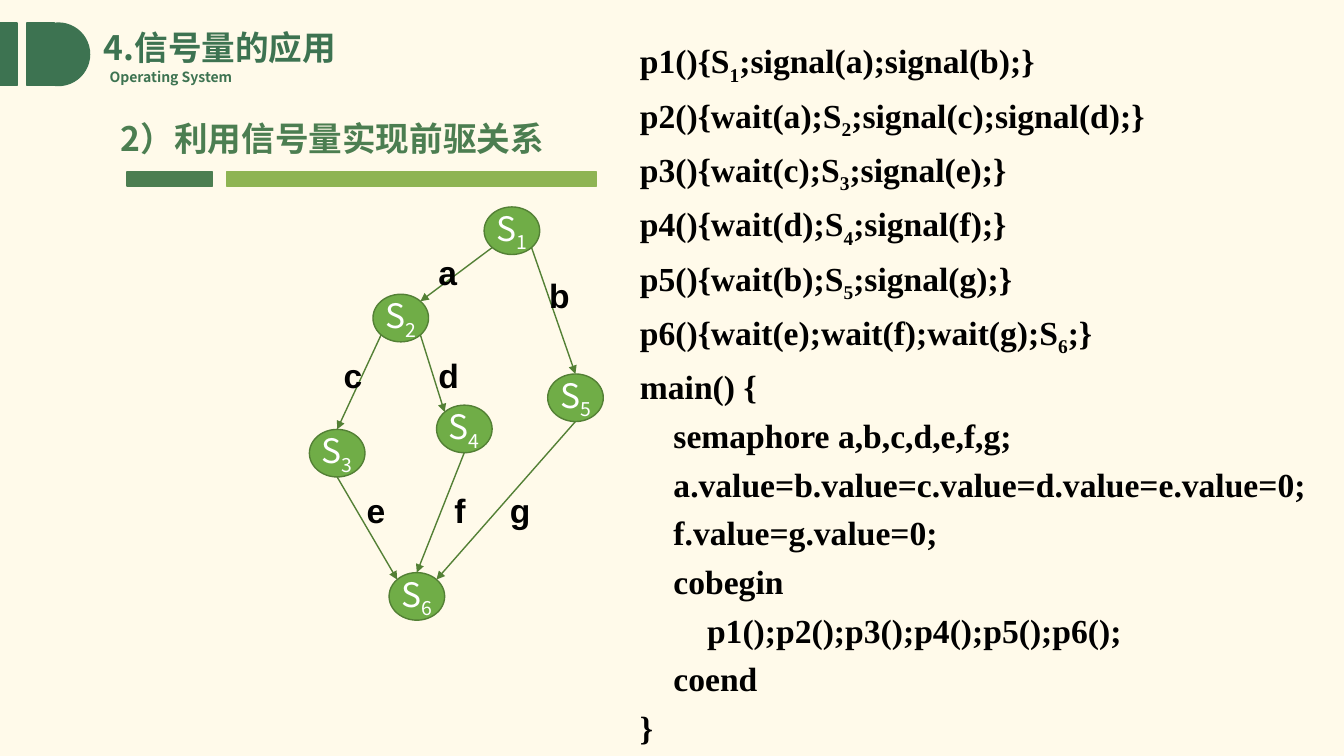
from math import cos, radians, sin

from lxml import etree
from pptx import Presentation
from pptx.dml.color import RGBColor
from pptx.enum import shapes, text
from pptx.oxml import ns
from pptx.util import Pt

CREAM = RGBColor(0xFF, 0xFA, 0xEA)
DARK_GREEN = RGBColor(0x3D, 0x73, 0x51)
HEADING_GREEN = RGBColor(0x4C, 0x7E, 0x51)
LIME = RGBColor(0x8E, 0xB4, 0x53)
NODE_GREEN = RGBColor(0x70, 0xAD, 0x47)
EDGE_GREEN = RGBColor(0x53, 0x80, 0x35)
WHITE = RGBColor(0xFF, 0xFF, 0xFF)
BLACK = RGBColor(0, 0, 0)
SANS = "Noto Sans CJK SC"

RECTANGLE = shapes.MSO_SHAPE.RECTANGLE
OVAL = shapes.MSO_SHAPE.OVAL

DECORATIONS = [
    (RECTANGLE, 0, 16.5, 12.2, 44.6, DARK_GREEN),
    (RECTANGLE, 19.4, 16.5, 19.4, 44.6, DARK_GREEN),
    (OVAL, 19.4, 16.5, 44.6, 44.6, DARK_GREEN),
    (RECTANGLE, 90.7, 123, 61.2, 10, HEADING_GREEN),
    (RECTANGLE, 162, 123, 264.2, 10, LIME),
]
HEADINGS = [
    ("Operating System", 71.3, 45.4, 105.8, 19.4, 10, DARK_GREEN),
    ("4.信号量的应用", 67, 15.8, 312.5, 36, 24, DARK_GREEN),
    ("2）利用信号量实现前驱关系", 79.2, 80.6, 418.3, 36, 24, HEADING_GREEN),
]

NODE_WIDTH, NODE_HEIGHT = 39.7, 34
NODES = {
    "1": (345.8, 147.8),
    "2": (266.4, 210.2),
    "3": (221, 306.7),
    "4": (311.8, 289.4),
    "5": (391.2, 267.1),
    "6": (277.9, 409),
}
TOP, TOP_LEFT, TOP_RIGHT = 270, 225, 315
BOTTOM, BOTTOM_LEFT, BOTTOM_RIGHT = 90, 135, 45
EDGES = [
    ("a", 306, 176.4, "1", BOTTOM_LEFT, "2", TOP_RIGHT),
    ("b", 385.2, 193, "1", BOTTOM_RIGHT, "5", TOP),
    ("c", 238.3, 249.8, "2", BOTTOM_LEFT, "3", TOP),
    ("d", 306, 249.8, "2", BOTTOM_RIGHT, "4", TOP_LEFT),
    ("e", 254.9, 346.3, "3", BOTTOM, "6", TOP_LEFT),
    ("f", 317.5, 346.3, "4", BOTTOM, "6", TOP),
    ("g", 357.1, 346.3, "5", BOTTOM, "6", TOP_RIGHT),
]

CODE = [
    ("p1(){S", "1", ";signal(a);signal(b);}"),
    ("p2(){wait(a);S", "2", ";signal(c);signal(d);}"),
    ("p3(){wait(c);S", "3", ";signal(e);}"),
    ("p4(){wait(d);S", "4", ";signal(f);}"),
    ("p5(){wait(b);S", "5", ";signal(g);}"),
    ("p6(){wait(e);wait(f);wait(g);S", "6", ";}"),
    ("main() {",),
    ("    semaphore a,b,c,d,e,f,g;",),
    ("    a.value=b.value=c.value=d.value=e.value=0;",),
    ("    f.value=g.value=0;",),
    ("    cobegin",),
    ("        p1();p2();p3();p4();p5();p6();",),
    ("    coend",),
    ("}",),
]


def write_line(paragraph, parts, size, font_name, color, bold=True):
    for index, part in enumerate(parts):
        run = paragraph.add_run()
        run.text = part
        if index == 1:
            run.font._element.set("baseline", "-25000")
    font = paragraph.font
    font.size, font.name, font.bold = Pt(size), font_name, bold
    font.color.rgb = color
    properties = font._element
    latin = properties.find(ns.qn("a:latin"))
    east_asian = etree.Element(ns.qn("a:ea"), typeface=font_name)
    latin.addnext(east_asian)


def add_text(slide, left, top, width, height, wrap=True):
    box = slide.shapes.add_textbox(Pt(left), Pt(top), Pt(width), Pt(height))
    box.text_frame.word_wrap = wrap
    return box.text_frame


def add_filled(slide, kind, left, top, width, height, fill, line):
    shape = slide.shapes.add_shape(kind, Pt(left), Pt(top), Pt(width), Pt(height))
    shape.shadow.inherit = False
    shape.fill.solid()
    shape.fill.fore_color.rgb = fill
    shape.line.color.rgb = line
    shape.line.width = Pt(1)
    return shape


def rim_point(node, angle):
    left, top = NODES[node]
    x = left + NODE_WIDTH / 2 * (1 + cos(radians(angle)))
    y = top + NODE_HEIGHT / 2 * (1 + sin(radians(angle)))
    return Pt(x), Pt(y)


def add_arrow(slide, start, end):
    arrow = slide.shapes.add_connector(shapes.MSO_CONNECTOR.STRAIGHT, *start, *end)
    arrow.line.color.rgb = EDGE_GREEN
    arrow.line.width = Pt(1)
    etree.SubElement(arrow.line._get_or_add_ln(), ns.qn("a:tailEnd"), type="triangle")
    etree.SubElement(arrow._element.spPr, ns.qn("a:effectLst"))


def main():
    presentation = Presentation()
    presentation.slide_width, presentation.slide_height = Pt(960), Pt(540)
    slide = presentation.slides.add_slide(presentation.slide_layouts[6])
    slide.background.fill.solid()
    slide.background.fill.fore_color.rgb = CREAM

    for kind, left, top, width, height, color in DECORATIONS:
        add_filled(slide, kind, left, top, width, height, color, color)

    for words, left, top, width, height, size, color in HEADINGS:
        frame = add_text(slide, left, top, width, height)
        frame.vertical_anchor = text.MSO_ANCHOR.MIDDLE
        write_line(frame.paragraphs[0], [words], size, SANS, color)

    for number, (left, top) in NODES.items():
        node = add_filled(slide, OVAL, left, top, NODE_WIDTH, NODE_HEIGHT,
                          NODE_GREEN, EDGE_GREEN)
        frame = node.text_frame
        frame.word_wrap = False
        frame.vertical_anchor = text.MSO_ANCHOR.MIDDLE
        frame.paragraphs[0].alignment = text.PP_ALIGN.CENTER
        write_line(frame.paragraphs[0], ["S", number], 24, SANS, WHITE, bold=False)

    for label, left, top, source, source_angle, target, target_angle in EDGES:
        add_arrow(slide, rim_point(source, source_angle), rim_point(target, target_angle))
        frame = add_text(slide, left, top, 28, 36)
        write_line(frame.paragraphs[0], [label], 24, "Arial", BLACK)

    frame = add_text(slide, 450, 25.2, 490.3, 493.2)
    frame.margin_right = 0
    for index, parts in enumerate(CODE):
        paragraph = frame.add_paragraph() if index else frame.paragraphs[0]
        if index:
            paragraph.space_before = Pt(6)
        write_line(paragraph, parts, 24, "Times New Roman", BLACK)

    presentation.save("out.pptx")


if __name__ == "__main__":
    main()
